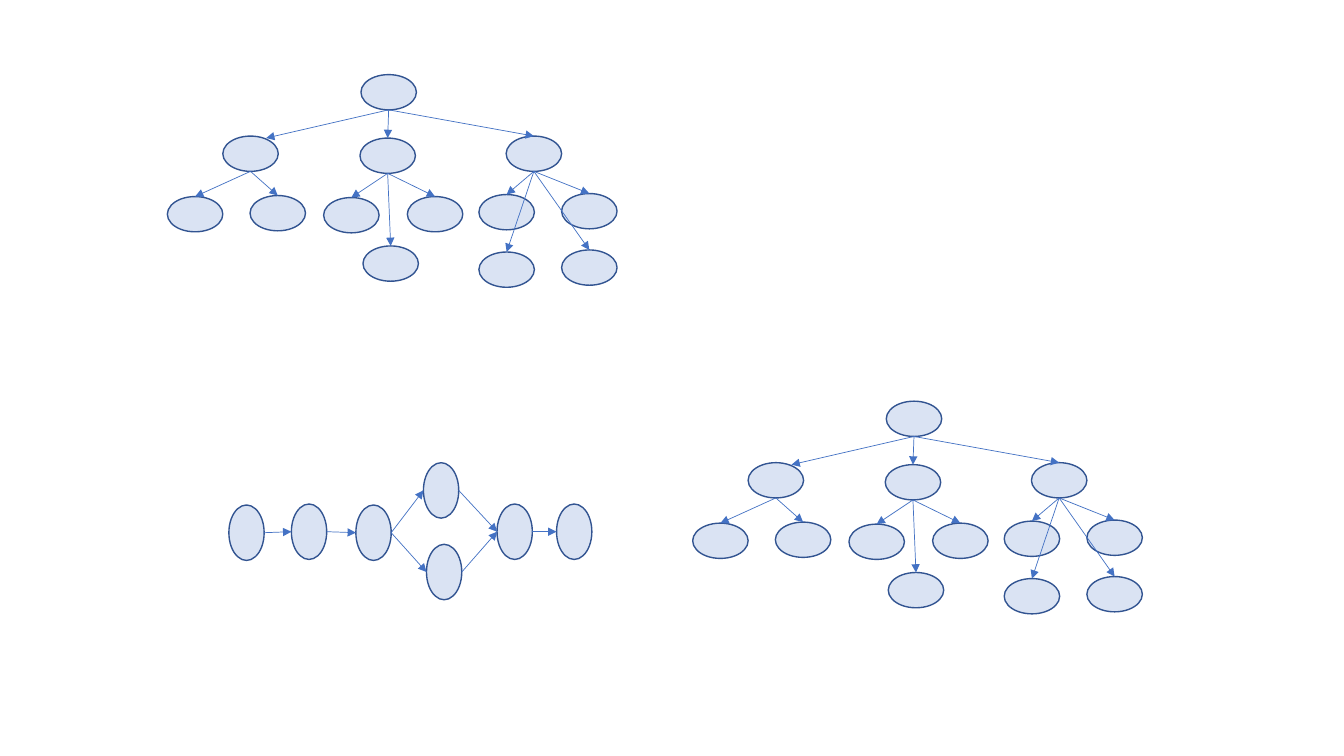
from dataclasses import dataclass

from lxml import etree
from pptx import Presentation
from pptx.dml.color import RGBColor
from pptx.enum import shapes
from pptx.oxml import ns
from pptx.shapes.autoshape import Shape
from pptx.shapes.connector import Connector
from pptx.shapes.shapetree import SlideShapes
from pptx.util import Inches, Pt

OVAL_FILL = RGBColor(0xDA, 0xE3, 0xF3)
OVAL_LINE = RGBColor(0x32, 0x54, 0x91)
ARROW_COLOR = RGBColor(0x44, 0x72, 0xC4)
OVAL_WIDTH, OVAL_HEIGHT = 0.55, 0.35


@dataclass(frozen=True)
class Node:
    name: str
    left: float
    top: float
    parents: tuple[str, ...] = ()


TREE = [
    Node("root", 3.58, 0.74),
    Node("left", 2.21, 1.35, ("root",)),
    Node("middle", 3.57, 1.37, ("root",)),
    Node("right", 5.02, 1.35, ("root",)),
    Node("left 1", 1.66, 1.95, ("left",)),
    Node("left 2", 2.48, 1.94, ("left",)),
    Node("middle 1", 3.21, 1.96, ("middle",)),
    Node("middle 2", 3.6, 2.44, ("middle",)),
    Node("middle 3", 4.04, 1.95, ("middle",)),
    Node("right 1", 4.75, 1.93, ("right",)),
    Node("right 2", 4.75, 2.5, ("right",)),
    Node("right 3", 5.57, 1.92, ("right",)),
    Node("right 4", 5.57, 2.48, ("right",)),
]
TREE_OFFSETS = [(0, 0), (5.21, 3.24)]

FLOW = [
    Node("first", 2.17, 5.11),
    Node("second", 2.79, 5.1, ("first",)),
    Node("fork", 3.43, 5.11, ("second",)),
    Node("upper", 4.1, 4.69, ("fork",)),
    Node("lower", 4.13, 5.5, ("fork",)),
    Node("join", 4.83, 5.1, ("upper", "lower")),
    Node("last", 5.42, 5.1, ("join",)),
]


def add_oval(canvas: SlideShapes, left: float, top: float, rotation: float = 0) -> Shape:
    oval = canvas.add_shape(
        shapes.MSO_SHAPE.OVAL, Inches(left), Inches(top), Inches(OVAL_WIDTH), Inches(OVAL_HEIGHT)
    )
    oval.shadow.inherit = False
    oval.rotation = rotation
    oval.fill.solid()
    oval.fill.fore_color.rgb = OVAL_FILL
    oval.line.color.rgb = OVAL_LINE
    oval.line.width = Pt(1)
    return oval


def add_arrow(canvas: SlideShapes, start: tuple[int, int], end: tuple[int, int]) -> Connector:
    arrow = canvas.add_connector(shapes.MSO_CONNECTOR.STRAIGHT, *start, *end)
    arrow.line.color.rgb = ARROW_COLOR
    arrow.line.width = Pt(0.5)
    etree.SubElement(arrow.line._get_or_add_ln(), ns.qn("a:tailEnd"), type="triangle")
    etree.SubElement(arrow._element.spPr, ns.qn("a:effectLst"))
    return arrow


def draw_tree(canvas: SlideShapes, shift_x: float, shift_y: float) -> None:
    ovals = {node.name: add_oval(canvas, node.left + shift_x, node.top + shift_y) for node in TREE}
    for node in TREE:
        child = ovals[node.name]
        for parent in (ovals[name] for name in node.parents):
            start = (parent.left + parent.width // 2, parent.top + parent.height)
            if node.name == "left":
                add_arrow(canvas, start, (child.left + Inches(0.43), child.top + Inches(0.02)))
            else:
                end = (child.left + child.width // 2, child.top)
                add_arrow(canvas, start, end).end_connect(child, 0)


def draw_flow(canvas: SlideShapes) -> None:
    ovals = {node.name: add_oval(canvas, node.left, node.top, 270) for node in FLOW}
    for node in FLOW:
        target = ovals[node.name]
        for source in (ovals[name] for name in node.parents):
            start = (
                source.left + (source.width + source.height) // 2,
                source.top + source.height // 2,
            )
            end = (
                target.left + (target.width - target.height) // 2,
                target.top + target.height // 2,
            )
            add_arrow(canvas, start, end)


def main() -> None:
    presentation = Presentation()
    presentation.slide_width = Inches(13.33)
    presentation.slide_height = Inches(7.5)
    slide = presentation.slides.add_slide(presentation.slide_layouts[6])
    for shift_x, shift_y in TREE_OFFSETS:
        draw_tree(slide.shapes, shift_x, shift_y)
    draw_flow(slide.shapes)
    presentation.save("out.pptx")


if __name__ == "__main__":
    main()
